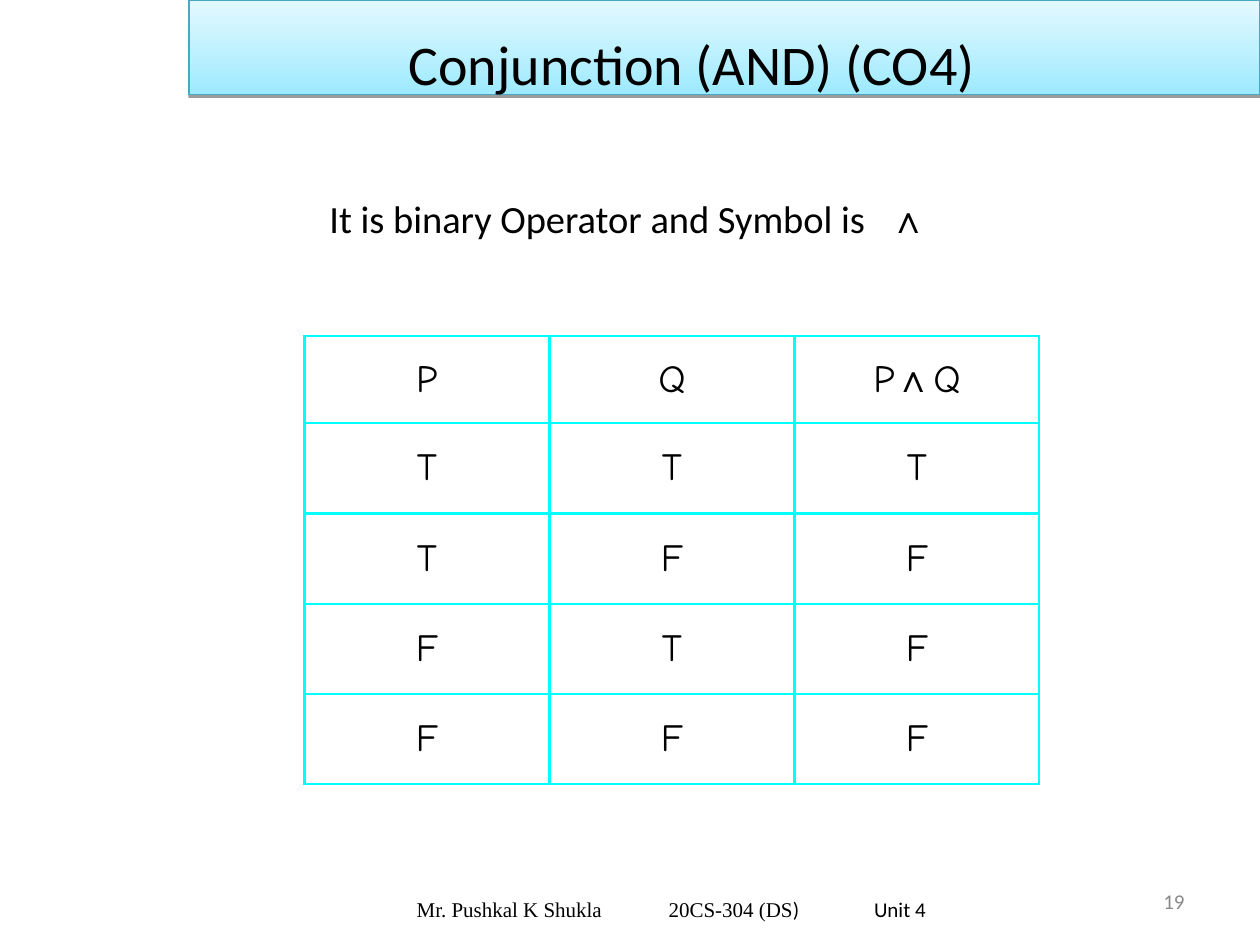
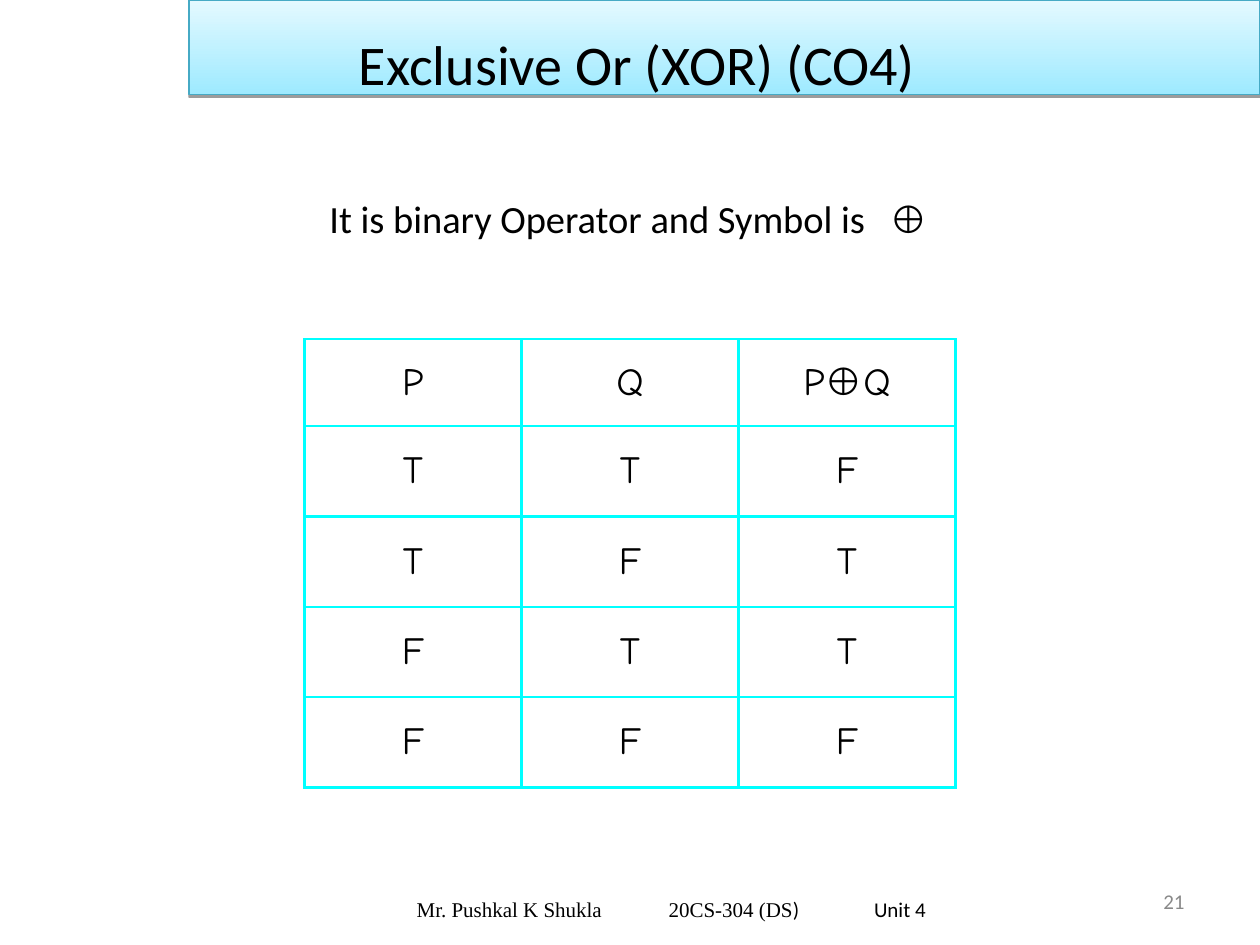
import pptx
import pptx.util
import pptx.dml.color
import pptx.enum.shapes
import pptx.enum.text
import pptx.oxml.ns
from lxml import etree

RGB = pptx.dml.color.RGBColor
BLACK = RGB(0x00, 0x00, 0x00)
GREY = RGB(0x89, 0x89, 0x89)
CYAN = RGB(0x00, 0xFF, 0xFF)
EDGE = RGB(0x46, 0xAA, 0xC5)
DEEP = RGB(0x9E, 0xEA, 0xFF)
PALE = RGB(0xE4, 0xF9, 0xFF)

WIDE, HIGH = pptx.util.Inches(10), pptx.util.Inches(7.5)
COLS, ROWS = 120, 90
ALIGN = pptx.enum.text.PP_ALIGN
MID = pptx.enum.text.MSO_ANCHOR.MIDDLE
TOP = pptx.enum.text.MSO_ANCHOR.TOP
RECT = pptx.enum.shapes.MSO_SHAPE.RECTANGLE
qn = pptx.oxml.ns.qn

BODY = {"name": "Calibri", "size": pptx.util.Pt(22), "bold": False}
SIGN = {**BODY, "name": "Arial"}
HAND = {**BODY, "name": "Comic Neue"}
HEAD = {**BODY, "size": pptx.util.Pt(32)}
SMALL = {**BODY, "size": pptx.util.Pt(12)}
SERIF = {**SMALL, "name": "Times New Roman"}

SLIDES = [
    {"page": "19", "title": "Conjunction (AND) (CO4)", "left": 14.9,
     "sign": "∧", "lead": True, "cell": False,
     "top": 32, "width": 70, "truth": ["TTT", "TFF", "FTF", "FFF"]},
    {"page": "21", "title": "Exclusive Or (XOR) (CO4)", "left": 9.7,
     "sign": "⊕", "lead": False, "cell": True,
     "top": 32.3, "width": 62, "truth": ["TTF", "TFT", "FTT", "FFF"]},
]


def apply(item, form):
    for key, val in form.items():
        setattr(item, key, val)


def grid(left, top, width, height):
    col, row = WIDE / COLS, HIGH / ROWS
    return [round(n) for n in (left * col, top * row, width * col, height * row)]


def node(base, tag, **attrs):
    return etree.SubElement(base, qn(tag), attrs)


def write(para, runs, align, ink=BLACK):
    para.alignment = align
    for text, form in runs:
        run = para.add_run()
        run.text = text
        apply(run.font, form)
        run.font.color.rgb = ink


def text(slide, area, runs, align, anchor=MID, ink=BLACK, tabs=()):
    frame = slide.shapes.add_textbox(*grid(*area)).text_frame
    apply(frame, {"word_wrap": True, "vertical_anchor": anchor})
    para = frame.paragraphs[0]
    if tabs:
        stops = node(para._p.get_or_add_pPr(), "a:tabLst")
        for inch, kind in tabs:
            node(stops, "a:tab", pos=str(pptx.util.Inches(inch)), algn=kind)
    write(para, runs, align, ink)


def band(slide):
    bar = slide.shapes.add_shape(RECT, *grid(18, 0, 102, 9))
    bar.fill.gradient()
    bar.fill.gradient_angle = 90
    for stop, ink in zip(bar.fill.gradient_stops, (DEEP, PALE)):
        stop.color.rgb = ink
    bar.line.color.rgb = EDGE
    bar.line.width = pptx.util.Pt(0.75)
    bar.shadow.inherit = False
    glow = bar._element.spPr.find(qn("a:effectLst"))
    shade = node(glow, "a:outerShdw", blurRad="0", dist=str(pptx.util.Pt(1.6)),
                 dir="5400000", rotWithShape="0")
    ink = node(shade, "a:srgbClr", val=str(BLACK))
    node(ink, "a:alpha", val="38000")


def frame_cell(cell):
    props = cell._tc.get_or_add_tcPr()
    for side in ("a:lnL", "a:lnR", "a:lnT", "a:lnB"):
        line = node(props, side, w=str(pptx.util.Pt(1.47)))
        node(node(line, "a:solidFill"), "a:srgbClr", val=str(CYAN))
    cell.fill.background()


def truth(slide, top, width, head, lines):
    rows = [head] + [[[(mark, HAND)] for mark in line] for line in lines]
    tall = [8.3] + [8.6] * len(lines)
    area = grid(29, top, width, sum(tall))
    table = slide.shapes.add_table(len(rows), len(head), *area).table
    apply(table, {"first_row": False, "horz_banding": False})
    for col in table.columns:
        col.width = area[2] // len(head)
    for row, units, cells in zip(table.rows, tall, rows):
        row.height = grid(0, 0, 0, units)[3]
        for cell, runs in zip(row.cells, cells):
            cell.vertical_anchor = MID
            write(cell.text_frame.paragraphs[0], runs, ALIGN.CENTER)
            frame_cell(cell)


def foot(slide, page):
    text(slide, (86, 83.4, 28, 4.8), [(page, SMALL)], ALIGN.RIGHT, ink=GREY)
    text(slide, (38.5, 84.2, 58.5, 4.8),
         [("Mr. Pushkal K Shukla\t20CS-304 (DS", SERIF), (")\tUnit 4", SMALL)],
         ALIGN.LEFT, tabs=[(2, "l"), (3.63, "l")])


def build(deck, data):
    slide = deck.slides.add_slide(deck.slide_layouts[6])
    sign = data["sign"]
    band(slide)
    text(slide, (data["left"], 0.5, 102, 11), [(data["title"], HEAD)], ALIGN.CENTER)
    text(slide, (30.2, 18, 80, 11),
         [("It is binary Operator and Symbol is\t", BODY),
          (sign, {**SIGN, "bold": data["lead"]})],
         ALIGN.LEFT, TOP, tabs=[(4.6, "ctr")])
    both = [("P", HAND), (sign, {**SIGN, "bold": data["cell"]}), ("Q", HAND)]
    head = [[("P", HAND)], [("Q", HAND)], both]
    truth(slide, data["top"], data["width"], head, data["truth"])
    foot(slide, data["page"])


def main():
    deck = pptx.Presentation()
    apply(deck, {"slide_width": WIDE, "slide_height": HIGH})
    for data in SLIDES:
        build(deck, data)
    deck.save("out.pptx")


if __name__ == "__main__":
    main()
